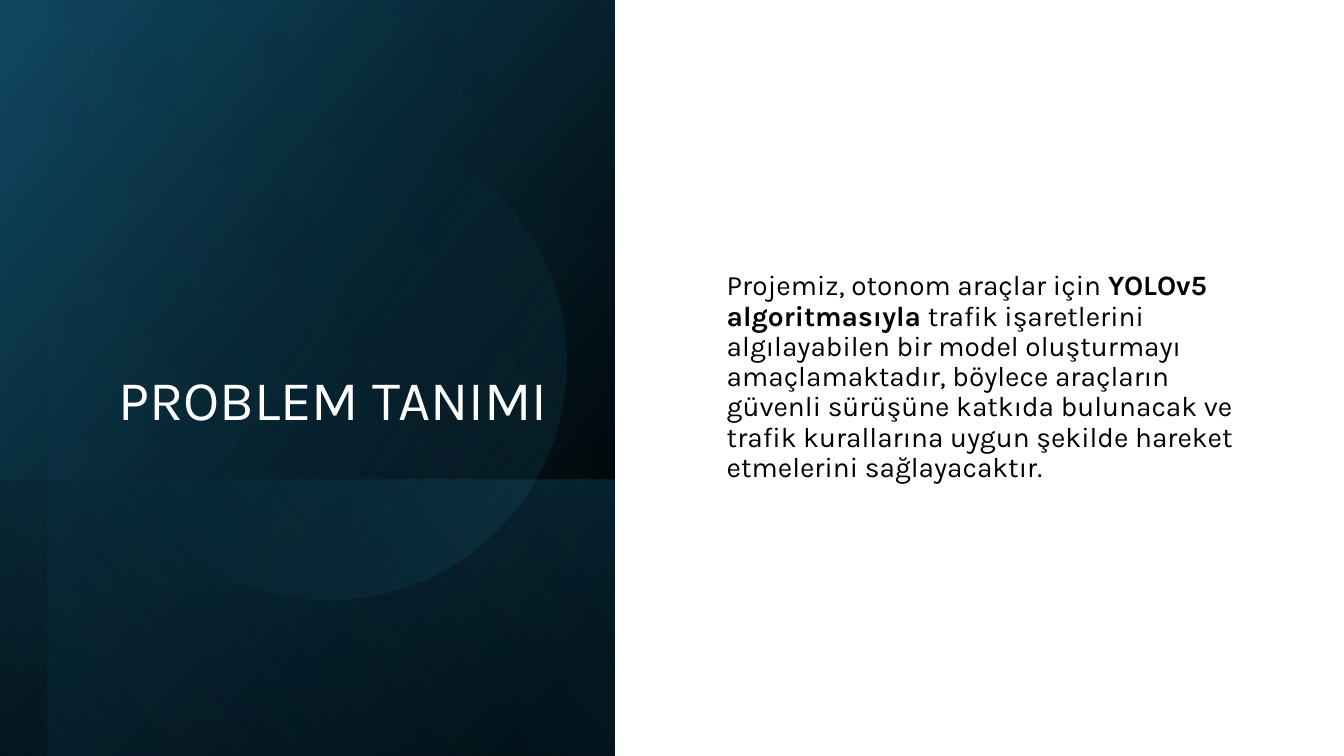
from dataclasses import dataclass
from lxml import etree
from pptx import Presentation
from pptx.dml.color import RGBColor
from pptx.enum.shapes import MSO_SHAPE as SHAPE
from pptx.enum.text import MSO_ANCHOR as ANCHOR, MSO_AUTO_SIZE as AUTO, PP_ALIGN as ALIGN
from pptx.oxml.ns import qn
from pptx.util import Pt


@dataclass(frozen=True)
class Theme:
    """Colours, font and type sizes of the slide."""
    font: str = "Karla"
    title_size: int = 40
    body_size: int = 20
    white: str = "FFFFFF"
    black: str = "000000"
    navy: str = "104862"
    teal: str = "156082"
    sky: str = "46B1E1"


T = Theme()


def set_all(obj, values):
    """Set each attribute of obj from a dict of values."""
    for name, value in values.items():
        setattr(obj, name, value)


def fill_gradient(sp, stops, angle):
    """Fill a shape with (position, colour, opacity) stops along an angle."""
    spPr = sp._element.spPr
    grad = etree.Element(qn("a:gradFill"), rotWithShape="1")
    stop_list = etree.SubElement(grad, qn("a:gsLst"))
    for pos, color, opacity in stops:
        gs = etree.SubElement(stop_list, qn("a:gs"), pos=str(pos * 1000))
        clr = etree.SubElement(gs, qn("a:srgbClr"), val=color)
        if opacity < 100:
            etree.SubElement(clr, qn("a:alpha"), val=str(opacity * 1000))
    etree.SubElement(grad, qn("a:lin"), ang=str(angle * 60000), scaled="0")
    spPr.find(qn("a:prstGeom")).addnext(grad)


def add_glow(slide, kind, box, stops, angle, rotation):
    """Add a borderless gradient shape inside a box."""
    sp = slide.shapes.add_shape(kind, *map(Pt, box))
    sp.shadow.inherit = False
    sp.line.fill.background()
    sp.rotation = rotation
    fill_gradient(sp, stops, angle)
    return sp


def add_turned_panel(slide, box, stops, angle):
    """Cover a box with a mirrored rectangle turned a quarter."""
    x, y, w, h = box
    turned = (x + (w - h) / 2, y + (h - w) / 2, h, w)
    sp = add_glow(slide, SHAPE.RECTANGLE, turned, stops, angle, 90)
    sp._element.spPr.find(qn("a:xfrm")).set("flipH", "1")


def write_text(sp, box, runs, size, color, anchor, align):
    """Place a placeholder and write one paragraph of (text, bold) runs."""
    set_all(sp, dict(zip(("left", "top", "width", "height"), map(Pt, box))))
    tf = sp.text_frame
    set_all(tf, {"word_wrap": True, "auto_size": AUTO.NONE, "vertical_anchor": anchor})
    p = tf.paragraphs[0]
    pPr = p._p.get_or_add_pPr()
    set_all(p, {"alignment": align, "line_spacing": 0.9, "space_before": Pt(0)})
    pPr.set("marL", "0")
    pPr.set("indent", "0")
    etree.SubElement(pPr, qn("a:buNone"))
    for text, bold in runs:
        r = p.add_run()
        r.text = text
        set_all(r.font, {"name": T.font, "size": Pt(size), "bold": bold})
        r.font.color.rgb = RGBColor.from_string(color)


def add_title_panel(slide, box):
    """Build the dark panel with its glows and the title."""
    x, y, w, h = box
    add_turned_panel(slide, box, [(8, T.black, 100), (100, T.navy, 100)], 50)
    band = 197.3
    add_turned_panel(slide, (x, y + h - band, w, band),
                     [(2, T.teal, 29), (100, T.black, 30)], 130)
    inset = 34
    add_turned_panel(slide, (x + inset, y, w - inset, h),
                     [(0, T.black, 0), (99, T.teal, 11)], 130)
    add_glow(slide, SHAPE.OVAL, (x + 64.8, y + 88.6, 340, 340),
             [(39, T.teal, 0), (100, T.sky, 15)], 290, 101.6)
    write_text(slide.shapes.title, (x + 64.8, y + 46, 333.4, 266.4),
               [("PROBLEM TANIMI", False)], T.title_size, T.white,
               ANCHOR.BOTTOM, ALIGN.RIGHT)


def add_description(slide, box):
    """Write the problem description in the middle of a box."""
    x, y, w, h = box
    runs = [
        ("Projemiz, otonom araçlar için ", False),
        ("YOLOv5 algoritmasıyla", True),
        (" trafik işaretlerini algılayabilen bir model oluşturmayı "
         "amaçlamaktadır, böylece araçların güvenli sürüşüne katkıda "
         "bulunacak ve trafik kurallarına uygun şekilde hareket "
         "etmelerini sağlayacaktır.", False),
    ]
    write_text(slide.placeholders[1], (x + 72.7, y + 51.1, w - 137.8, h - 103),
               runs, T.body_size, T.black, ANCHOR.MIDDLE, ALIGN.LEFT)


def main():
    """Build the slide and save it."""
    prs = Presentation()
    width, height, panel = 960, 540, 439.2
    set_all(prs, {"slide_width": Pt(width), "slide_height": Pt(height)})
    slide = prs.slides.add_slide(prs.slide_layouts[1])
    add_title_panel(slide, (0, 0, panel, height))
    add_description(slide, (panel, 0, width - panel, height))
    tree = slide.shapes._spTree
    for sp in list(slide.placeholders):
        tree.append(sp._element)
    prs.save("out.pptx")


if __name__ == "__main__":
    main()
